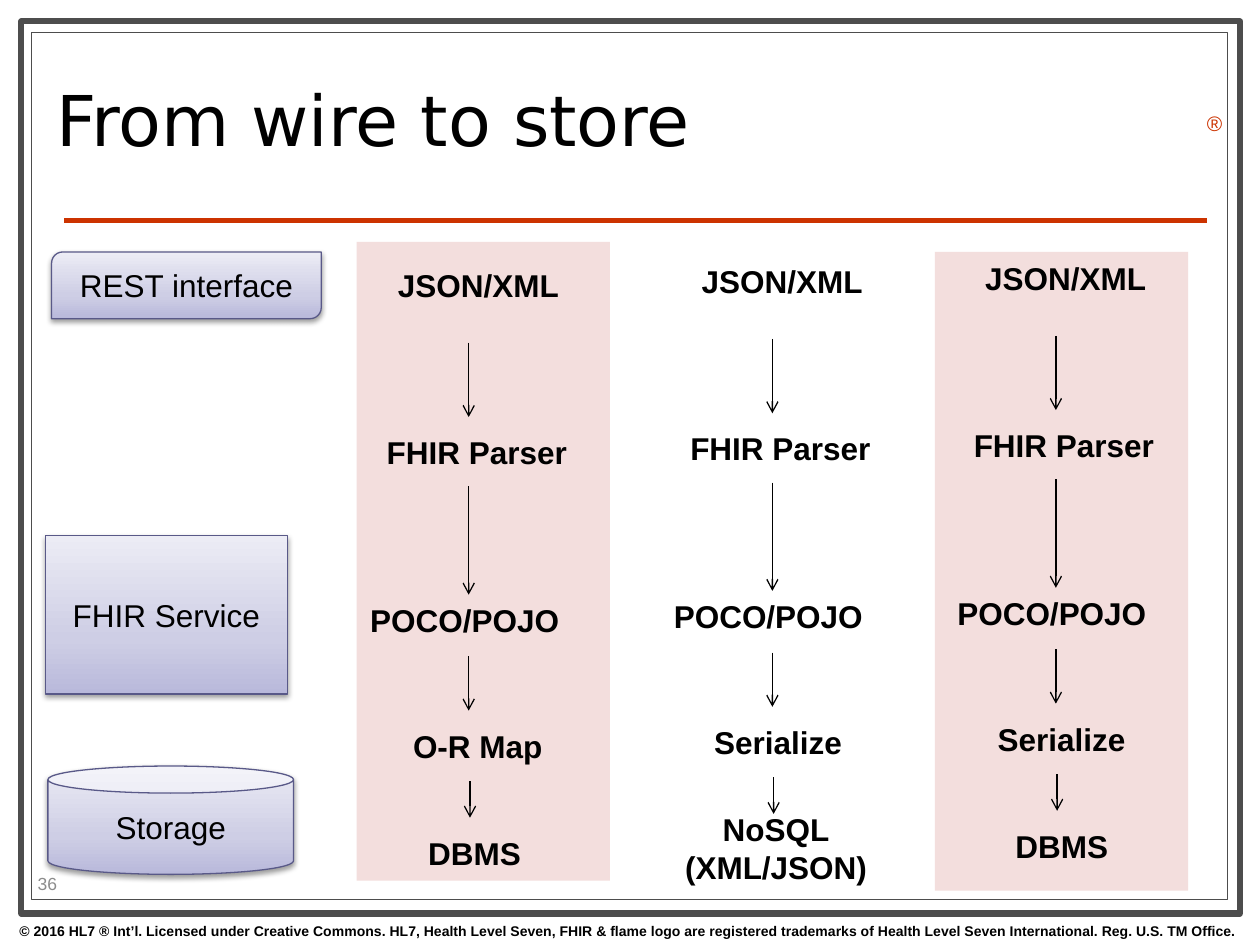
from lxml.etree import SubElement
from pptx import Presentation
from pptx.dml.color import RGBColor
from pptx.enum.shapes import MSO_CONNECTOR, MSO_SHAPE
from pptx.enum.text import MSO_ANCHOR, MSO_AUTO_SIZE, PP_ALIGN
from pptx.oxml.ns import qn
from pptx.util import Inches, Pt

BLACK = RGBColor(0x00, 0x00, 0x00)
WHITE = RGBColor(0xFF, 0xFF, 0xFF)
GRAY = RGBColor(0x4D, 0x4D, 0x4D)
PALE = RGBColor(0x8C, 0x8C, 0x8C)
RED = RGBColor(0xCC, 0x33, 0x00)
PINK = RGBColor(0xF3, 0xDE, 0xDD)
NAVY = RGBColor(0x59, 0x59, 0x88)
FADE = [(0, RGBColor(0xB9, 0xB9, 0xDB)),
        (35, RGBColor(0xCE, 0xCE, 0xE5)),
        (100, RGBColor(0xEC, 0xEC, 0xF5))]

COLS, ROWS = 100, 75

FONTS = {
    "title": (BLACK, {"name": "DejaVu Sans", "size": Pt(40)}),
    "layer": (BLACK, {"name": "Arial", "size": Pt(18)}),
    "step": (BLACK, {"name": "Arial", "size": Pt(18), "bold": True}),
    "legal": (BLACK, {"name": "Arial", "size": Pt(8), "bold": True}),
    "mark": (RED, {"name": "Arial", "size": Pt(12)}),
    "page": (PALE, {"name": "Arial", "size": Pt(10)}),
}

LEFT, MID = PP_ALIGN.LEFT, PP_ALIGN.CENTER


class Pen:
    """Draws on one slide; lengths are in columns and rows of the grid."""

    def __init__(self, deck):
        self.wide, self.high = deck.slide_width, deck.slide_height
        self.slide = deck.slides.add_slide(deck.slide_layouts[6])
        self.home = self.shapes = self.slide.shapes

    def group(self):
        """Send what follows into a new group."""
        self.shapes = self.home.add_group_shape().shapes

    def leave(self):
        self.shapes = self.home

    def scale(self, *spots):
        """Turn alternating columns and rows into slide lengths."""
        units = (self.wide / COLS, self.high / ROWS)
        return [round(n * units[i % 2]) for i, n in enumerate(spots)]

    def letter(self, frame, text, style, align):
        """Fill a text frame with one styled paragraph."""
        color, looks = FONTS[style]
        para = frame.paragraphs[0]
        para.text, para.alignment = text, align
        for run in para.runs:
            run.font.color.rgb = color
            for key, value in looks.items():
                setattr(run.font, key, value)
        return para

    def text(self, text, style, *place, align=LEFT, wrap=True, grow=True):
        frame = self.shapes.add_textbox(*self.scale(*place)).text_frame
        looks = {
            "word_wrap": wrap,
            "auto_size": MSO_AUTO_SIZE.SHAPE_TO_FIT_TEXT if grow else MSO_AUTO_SIZE.NONE,
            "vertical_anchor": MSO_ANCHOR.TOP if grow else MSO_ANCHOR.MIDDLE,
        }
        for key, value in looks.items():
            setattr(frame, key, value)
        return self.letter(frame, text, style, align)

    def shape(self, kind, *place, line=None, width=0.75):
        shape = self.shapes.add_shape(kind, *self.scale(*place))
        shape.shadow.inherit = False
        if line is None:
            shape.line.fill.background()
        else:
            shape.line.color.rgb = line
            shape.line.width = Pt(width)
        return shape

    def panel(self, fill, *place, **edge):
        shape = self.shape(MSO_SHAPE.RECTANGLE, *place, **edge)
        shape.fill.solid()
        shape.fill.fore_color.rgb = fill

    def layer(self, text, kind, *place):
        """Add a system layer with a fade and a soft shadow."""
        shape = self.shape(kind, *place, line=NAVY)
        shape.fill.gradient()
        shape.fill.gradient_angle = 90
        props = shape._element.spPr
        stops = props.find(".//" + qn("a:gsLst"))
        for old in list(stops):
            stops.remove(old)
        for share, color in FADE:
            stop = SubElement(stops, qn("a:gs"), pos=str(share * 1000))
            SubElement(stop, qn("a:srgbClr"), val=str(color))
        cast = SubElement(props.find(qn("a:effectLst")), qn("a:outerShdw"),
                          blurRad=str(Pt(3.1)), dist=str(Pt(1.6)),
                          dir="5400000", rotWithShape="0")
        tint = SubElement(cast, qn("a:srgbClr"), val=str(BLACK))
        SubElement(tint, qn("a:alpha"), val="38000")
        shape.text_frame.vertical_anchor = MSO_ANCHOR.MIDDLE
        self.letter(shape.text_frame, text, "layer", MID)

    def line(self, *ends, color=BLACK, width=0.75, arrow=False):
        line = self.shapes.add_connector(MSO_CONNECTOR.STRAIGHT, *self.scale(*ends))
        line.line.color.rgb = color
        line.line.width = Pt(width)
        props = line._element.spPr
        if arrow:
            SubElement(props.find(qn("a:ln")), qn("a:tailEnd"), type="arrow")
        SubElement(props, qn("a:effectLst"))

    def flow(self, axis, top, ends):
        """Add one chain of steps, placed from its arrow axis and top row."""
        self.group()
        for text, left, down, wide, tall, align, wrap in STEPS + ends:
            self.text(text, "step", axis + left, top + down, wide, tall,
                      align=align, wrap=wrap)
        for shift, start, stop in ARROWS:
            self.line(axis + shift, top + start, axis + shift, top + stop, arrow=True)
        self.leave()


# text, left of axis, rows down, width, height, alignment, wrap
STEPS = [
    ("JSON/XML", -6.6, 0, 14.9, 4, LEFT, False),
    ("FHIR Parser", -7.5, 13.3, 16.5, 4, LEFT, False),
    ("POCO/POJO", -8.8, 26.6, 18.3, 4, LEFT, True),
]
MAP = ("O-R Map", -5.4, 36.6, 12.4, 4, LEFT, False)
SERIAL = ("Serialize", -5.6, 36.6, 12.3, 4, LEFT, False)
DBMS = ("DBMS", -4.2, 45.1, 9.5, 4, LEFT, False)
NOSQL = ("NoSQL\v(XML/JSON)", -8, 43.5, 16.6, 7.1, MID, False)

# shift from axis, first row, last row
ARROWS = [(0, 6.6, 12.5), (0, 18, 26.6), (0, 31.5, 35.8), (0.1, 41.4, 44.3)]

FLOWS = [
    (37.2, 20.6, [MAP, DBMS]),
    (61.3, 20.3, [SERIAL, NOSQL]),
    (83.8, 20.05, [SERIAL, DBMS]),
]

LAYERS = [
    ("Storage", MSO_SHAPE.CAN, 3.8, 60.8, 19.5, 8.6),
    ("FHIR Service", MSO_SHAPE.RECTANGLE, 3.6, 42.5, 19.2, 12.6),
    ("REST interface", MSO_SHAPE.ROUND_2_DIAG_RECTANGLE, 4.1, 20, 21.4, 5.3),
]

LEGAL = ("© 2016 HL7 ® Int’l. Licensed under Creative Commons. HL7, Health Level "
         "Seven, FHIR & flame logo are registered trademarks of Health Level Seven "
         "International. Reg. U.S. TM Office.")


def main():
    deck = Presentation()
    deck.slide_width, deck.slide_height = Inches(10), Inches(7.5)
    pen = Pen(deck)

    pen.panel(WHITE, 1.7, 1.7, 96.7, 70.8, line=GRAY, width=3.5)
    pen.panel(WHITE, 2.5, 2.6, 94.9, 68.8, line=GRAY)
    pen.line(5.1, 17.5, 95.8, 17.5, color=RED, width=3)
    pen.text(LEGAL, "legal", -0.1, 72.7, 100, 2.3, align=MID)
    pen.text("®", "mark", 94.8, 8.3, 3.1, 3)

    for left, top in [(28.3, 19.2), (74.2, 20)]:
        pen.panel(PINK, left, top, 20.1, 50.7)
    title = pen.text("From wire to store", "title", 3.5, 3.6, 71.7, 12.9, grow=False)
    title.line_spacing = 0.8
    for layer in LAYERS:
        pen.layer(*layer)
    for flow in FLOWS:
        pen.flow(*flow)
    pen.text("36", "page", 2, 68.9, 7.9, 2.4, grow=False)

    deck.save("out.pptx")


if __name__ == "__main__":
    main()
